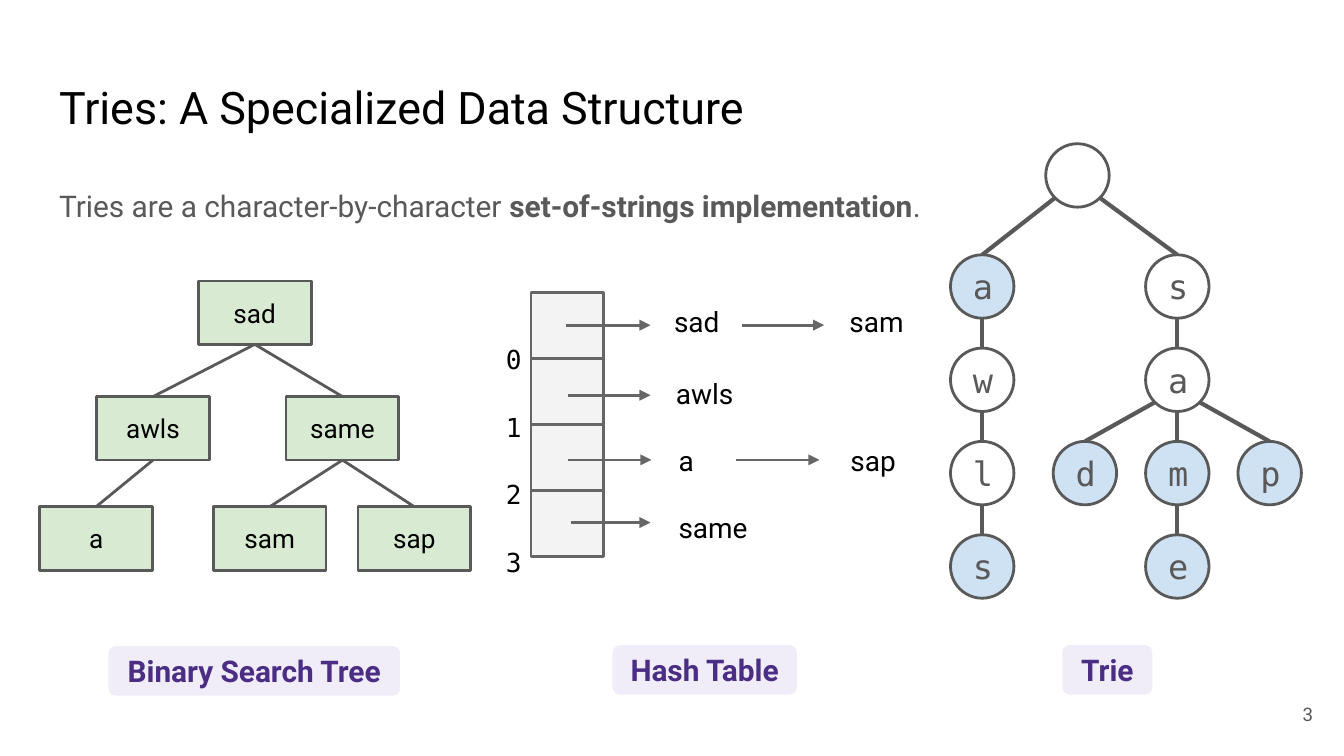
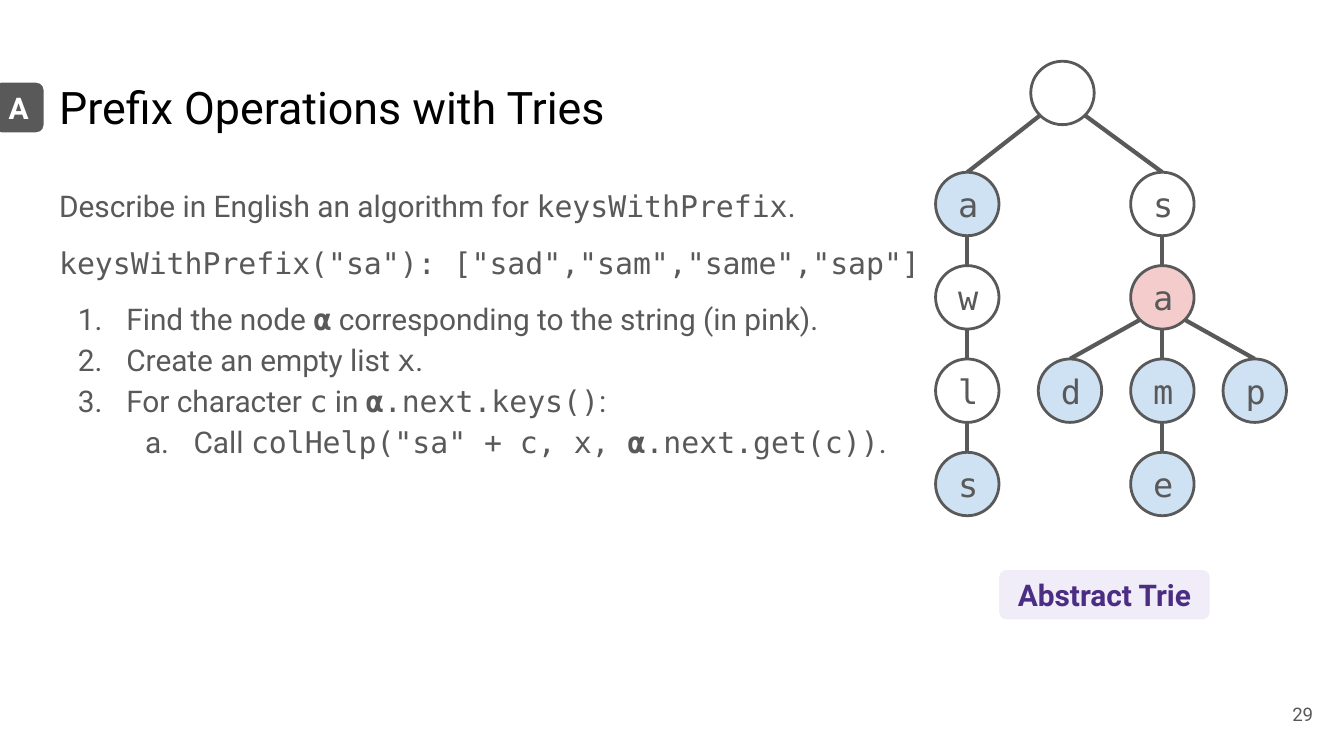
"""Build two slides that compare tries with other sets of strings."""
from dataclasses import dataclass
from lxml.etree import SubElement
from pptx import Presentation
from pptx.dml.color import RGBColor
from pptx.enum.shapes import MSO_CONNECTOR as Link, MSO_SHAPE as Form
from pptx.enum.text import MSO_ANCHOR as Anchor, MSO_AUTO_SIZE as Auto, PP_ALIGN as Align
from pptx.oxml.ns import qn
from pptx.util import Pt


@dataclass(frozen=True)
class Theme:
    sans: str = "Roboto"
    mono: str = "DejaVu Sans Mono"
    black: str = "000000"
    white: str = "FFFFFF"
    gray: str = "595959"
    steel: str = "666666"
    pale: str = "F3F3F3"
    blue: str = "CFE2F3"
    pink: str = "F4CCCC"
    green: str = "D9EAD3"
    plum: str = "4B2E83"
    lilac: str = "F0ECF8"
    title: int = 24
    letter: int = 18
    body: int = 16
    word: int = 15
    key: int = 14
    page: int = 10
    thin: float = 1.5
    thick: float = 2.25


T = Theme()
PAD = 7.2

INTRO = [("", [("Tries are a character-by-character ", ""),
               ("set-of-strings implementation", "b"), (".", "")], 0)]
STEPS = [
    ("", [("Describe in English an algorithm for ", ""), ("keysWithPrefix", "m"), (".", "")], 0),
    ("", [('keysWithPrefix("sa"): ["sad","sam","same","sap"]', "m")], 8),
    ("1", [("Find the node ", ""), ("α", "mb"),
           (" corresponding to the string (in pink).", "")], 8),
    ("1", [("Create an empty list ", ""), ("x", "m"), (".", "")], 0),
    ("1", [("For character ", ""), ("c", "m"), (" in ", ""), ("α", "mb"),
           (".next.keys()", "m"), (":", "")], 0),
    ("a", [("Call ", ""), ('colHelp("sa" + c, x, ', "m"), ("α", "mb"),
           (".next.get(c))", "m"), (".", "")], 0),
]
LISTS = {"1": ("arabicPeriod", 0), "a": ("alphaLcPeriod", 1)}

# path: (x from root, is a key)
TRIE = {"": (0, False), "a": (-51, True), "aw": (-51, False), "awl": (-51, False),
        "awls": (-51, True), "s": (53.5, False), "sa": (53.5, False), "sad": (4, True),
        "sam": (53.5, True), "sap": (103, True), "same": (53.5, True)}

# word: (centre x, row top, parent)
TREE = {"sad": (136.5, 150.5, None), "awls": (82, 212.5, "sad"), "same": (183.5, 212.5, "sad"),
        "a": (51.5, 271.5, "awls"), "sam": (144.5, 271.5, "same"), "sap": (222, 271.5, "same")}

# per bucket: arrow y, then (arrow from, arrow to, word, word x, word top)
TABLE = [
    (174.2, [(303, 348.5, "sad", 354, 156.2), (397.5, 441.5, "sam", 448, 155.7)]),
    (211.7, [(304.5, 348.5, "awls", 355, 194.4)]),
    (246.4, [(304.5, 349, "a", 356.4, 230.4), (394.5, 439, "sap", 448.5, 230.4)]),
    (280, [(306, 348.5, "same", 356.4, 266.4)]),
]

SLIDES = [
    dict(title="Tries: A Specialized Data Structure", body=INTRO, tall=32, page="3",
         root=(577.2, 94), pink="", both=True, badge="",
         tags=[("Binary Search Tree", 57, 345, 158.5), ("Hash Table", 327, 344.5, 101),
               ("Trie", 568, 344.5, 50.5)]),
    dict(title="Prefix Operations with Tries", body=STEPS, tall=269, page="29",
         root=(569.2, 49.8), pink="sa", both=False, badge="A",
         tags=[("Abstract Trie", 534.2, 304.2, 115)]),
]


def style(para, size, color, font=T.sans, bold=False):
    para.font.size, para.font.name, para.font.bold = Pt(size), font, bold
    para.font.color.rgb = RGBColor.from_string(color)


def frame(shape, anchor=Anchor.MIDDLE):
    text = shape.text_frame
    text.word_wrap, text.auto_size, text.vertical_anchor = True, Auto.NONE, anchor
    text.margin_left = text.margin_right = text.margin_top = text.margin_bottom = Pt(PAD)
    return text


def place(shape, x, y, w, h):
    shape.left, shape.top, shape.width, shape.height = Pt(x), Pt(y), Pt(w), Pt(h)


def write(shape, text, size, color, font=T.sans, bold=False, align=Align.LEFT,
          anchor=Anchor.MIDDLE, gap=None):
    box = frame(shape, anchor)
    box.text = text
    for para in box.paragraphs:
        para.alignment, para.line_spacing = align, gap
        style(para, size, color, font, bold)


def label(slide, x, y, w, h, *args, **more):
    write(slide.shapes.add_textbox(Pt(x), Pt(y), Pt(w), Pt(h)), *args, **more)


def block(slide, form, x, y, w, h, fill, edge=T.gray, width=T.thin):
    shape = slide.shapes.add_shape(form, Pt(x), Pt(y), Pt(w), Pt(h))
    shape.shadow.inherit = False
    shape.fill.solid()
    shape.fill.fore_color.rgb = RGBColor.from_string(fill)
    shape.line.color.rgb = RGBColor.from_string(edge)
    shape.line.width = Pt(width)
    return shape


def line(slide, x, y, to_x, to_y, width=T.thin, color=T.gray, head=False):
    link = slide.shapes.add_connector(Link.STRAIGHT, Pt(x), Pt(y), Pt(to_x), Pt(to_y))
    link.line.color.rgb = RGBColor.from_string(color)
    link.line.width = Pt(width)
    if head:
        SubElement(link.line._get_or_add_ln(), qn("a:tailEnd"), type="triangle")
    SubElement(link._element.spPr, qn("a:effectLst"))
    return link


def tag(slide, text, x, y, w, fill=T.lilac, color=T.plum):
    shape = block(slide, Form.ROUNDED_RECTANGLE, x, y, w, 28.8, fill, T.white, T.thick)
    shape.adjustments[0] = 0.167
    write(shape, text, T.body, color, bold=True, align=Align.CENTER)


def fill_body(shape, items):
    box = frame(shape, Anchor.TOP)
    for i, (kind, runs, before) in enumerate(items):
        para = box.add_paragraph() if i else box.paragraphs[0]
        para.line_spacing, para.space_before = 1.15, Pt(before)
        props = para._p.get_or_add_pPr()
        if kind:
            scheme, para.level = LISTS[kind]
            props.set("marL", str(Pt(36 * (para.level + 1))))
            props.set("indent", str(Pt(-26)))
            SubElement(SubElement(props, qn("a:buClr")), qn("a:srgbClr"), val=T.gray)
            SubElement(props, qn("a:buFont"), typeface=T.sans)
            SubElement(props, qn("a:buAutoNum"), type=scheme)
        else:
            props.set("marL", "0")
            props.set("indent", "0")
            SubElement(props, qn("a:buNone"))
        style(para, T.body, T.gray)
        for text, look in runs:
            run = para.add_run()
            run.text = text
            if "m" in look:
                run.font.name = T.mono
            if "b" in look:
                run.font.bold = True


def draw_trie(slide, root, pink, size=34, drop=59.5, step=50):
    half, slant = size / 2, size / 2 * 0.71
    spots = {key: (root[0] + dx, root[1] + (drop + step * (len(key) - 1) if key else 0))
             for key, (dx, _) in TRIE.items()}
    for key, (x, y) in spots.items():
        if key:
            up_x, up_y = spots[key[:-1]]
            side = (x > up_x) - (x < up_x)
            line(slide, up_x + side * slant, up_y + (slant if side else half),
                 x, y - half, T.thick)
    for key, (x, y) in spots.items():
        fill = T.pink if key and key == pink else T.blue if TRIE[key][1] else T.white
        node = block(slide, Form.OVAL, x - half, y - half, size, size, fill)
        if key:
            write(node, key[-1], T.letter, T.gray, T.mono)


def draw_tree(slide, w=60.5, h=34):
    boxes = {}
    for word, (x, y, parent) in TREE.items():
        box = boxes[word] = block(slide, Form.RECTANGLE, x - w / 2, y, w, h, T.green)
        write(box, word, T.key, T.black, align=Align.CENTER)
        if parent:
            link = line(slide, 0, 0, 0, 0)
            link.begin_connect(boxes[parent], 2)
            link.end_connect(box, 0)


def draw_table(slide, x=284.5, y=156.5, w=39, h=35.4):
    for i in range(len(TABLE)):
        block(slide, Form.RECTANGLE, x, y + i * h, w, h, T.pale, T.steel)
    marks = "\n".join(str(i) for i in range(len(TABLE)))
    label(slide, 263.5, 157.7, 23, 140.4, marks, T.key, T.black, T.mono,
          align=Align.RIGHT, anchor=Anchor.TOP, gap=2.15)
    for mid, chain in TABLE:
        for start, end, word, left, top in chain:
            line(slide, start, mid, end, mid, color=T.steel, head=True)
            label(slide, left, top, 54, 22.3, word, T.word, T.black, anchor=Anchor.TOP)


def build(deck, data):
    slide = deck.slides.add_slide(deck.slide_layouts[1])
    title, body = slide.placeholders
    place(title, 24.5, 35.3, 671, 45.4)
    write(title, data["title"], T.title, T.black, anchor=Anchor.TOP)
    place(body, 24.5, 90.7, 671, data["tall"])
    fill_body(body, data["body"])
    label(slide, 667.4, 367.2, 43.2, 31, data["page"], T.page, T.gray, align=Align.RIGHT)
    draw_trie(slide, data["root"], data["pink"])
    if data["both"]:
        draw_tree(slide)
        draw_table(slide)
    for item in data["tags"]:
        tag(slide, *item)
    if data["badge"]:
        tag(slide, data["badge"], -4.3, 43.2, 28.8, T.gray, T.white)


def main():
    deck = Presentation()
    deck.slide_width, deck.slide_height = Pt(720), Pt(405)
    for data in SLIDES:
        build(deck, data)
    deck.save("out.pptx")


if __name__ == "__main__":
    main()
